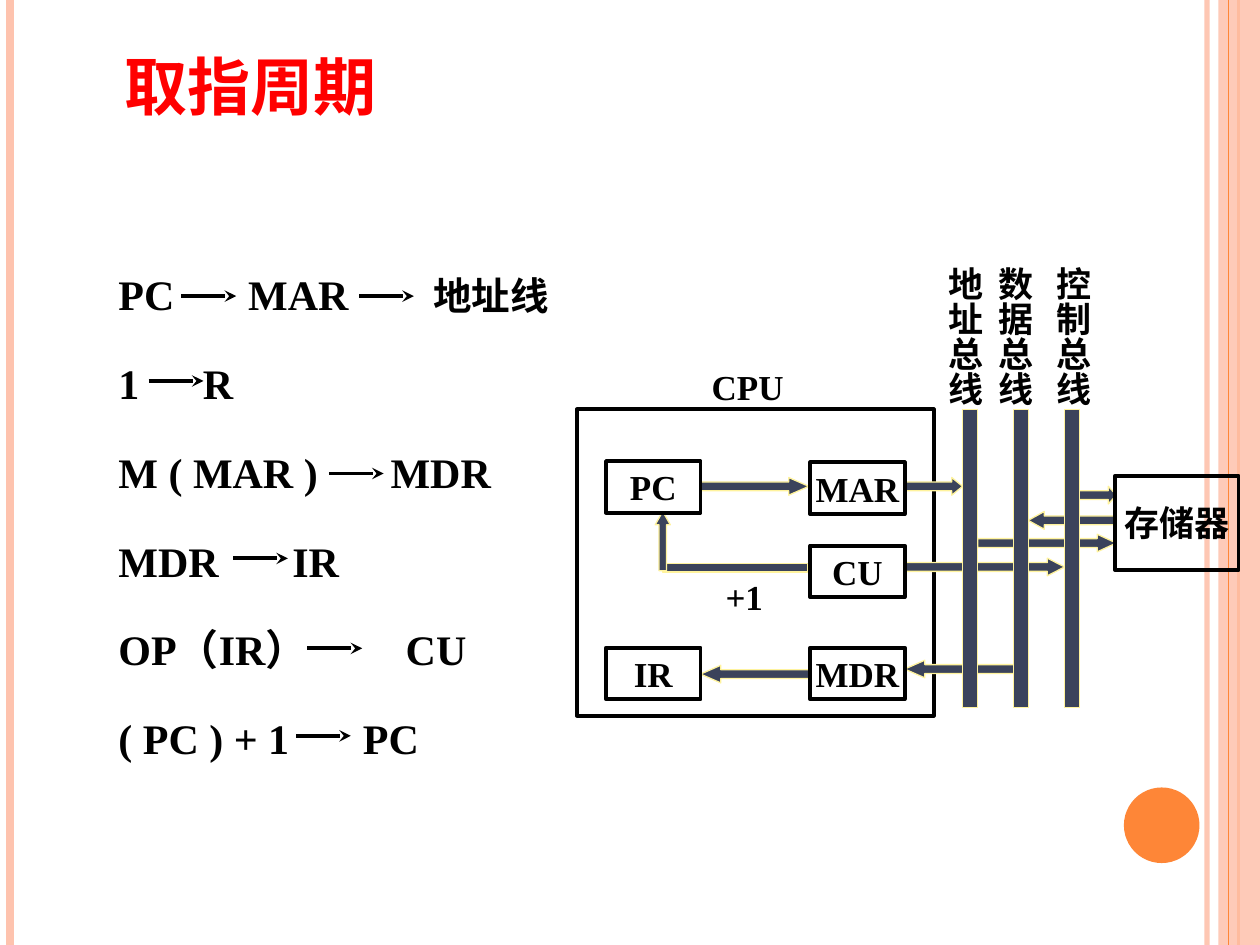
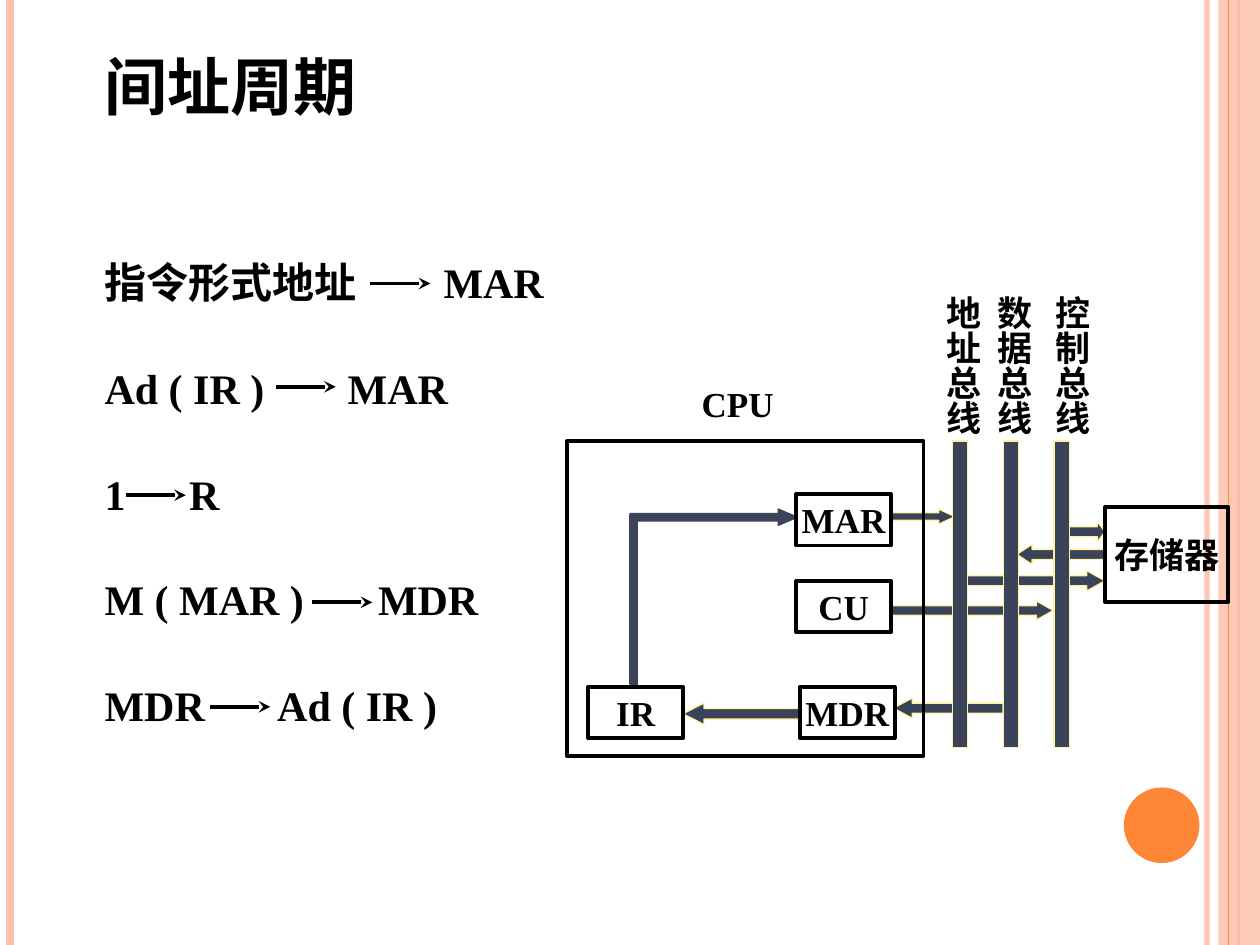
from lxml import etree
from pptx import Presentation
from pptx.dml.color import RGBColor
from pptx.enum.shapes import MSO_CONNECTOR, MSO_SHAPE
from pptx.enum.text import MSO_ANCHOR, MSO_AUTO_SIZE, PP_ALIGN
from pptx.oxml.ns import qn
from pptx.util import Emu, Pt

RECT, OVAL = MSO_SHAPE.RECTANGLE, MSO_SHAPE.OVAL
RIGHT, UP = MSO_SHAPE.RIGHT_ARROW, MSO_SHAPE.UP_ARROW
LINE = MSO_CONNECTOR.STRAIGHT
MIDDLE, LEFT, CENTER = MSO_ANCHOR.MIDDLE, PP_ALIGN.LEFT, PP_ALIGN.CENTER
FIT, FIXED = MSO_AUTO_SIZE.SHAPE_TO_FIT_TEXT, MSO_AUTO_SIZE.NONE

FONT = "Times New Roman"
INK = {"black": "000000", "red": "FF0000", "peach": "FEC3AE",
       "orange": "FE8637", "navy": "3B435B", "cream": "FFF39D"}
COLS, ROWS = 1000, 750  # grid that covers the slide
CELL = 9144
BUSES = ["地址总线", "数据总线", "控制总线"]
SMALL = {"地址线": 22}


def grid(*cells):
    return [Emu(round(cell * CELL)) for cell in cells]


def tint(color, name):
    color.rgb = RGBColor.from_string(INK[name])


def fade(node, share):
    """Make the solid colour below node partly transparent."""
    color = node.find(f"{qn('a:solidFill')}/{qn('a:srgbClr')}")
    etree.SubElement(color, qn("a:alpha"), val=str(share * 1000))


def style(par, size, color="black"):
    for run in par.runs:
        font = run.font
        font.name, font.size, font.bold = FONT, Pt(size), True
        tint(font.color, color)


def flush(frame):
    """Drop the insets and centre the text upright."""
    frame.margin_left = frame.margin_right = 0
    frame.margin_top = frame.margin_bottom = 0
    frame.vertical_anchor, frame.word_wrap = MIDDLE, True
    frame.auto_size = FIXED


def stroke(slide, ends, color, width, alpha=None, head=False):
    x, y, x2, y2 = grid(*ends)
    line = slide.shapes.add_connector(LINE, x, y, x2, y2)
    tint(line.line.color, color)
    line.line.width = Pt(width)
    props = line._element.spPr
    edge = props.find(qn("a:ln"))
    if alpha:
        fade(edge, alpha)
    if head:
        etree.SubElement(edge, qn("a:tailEnd"), type="stealth")
    etree.SubElement(props, qn("a:effectLst"))


def block(slide, kind, box, fill=None, edge=None, width=0.75):
    shape = slide.shapes.add_shape(kind, *grid(*box))
    shape.shadow.inherit = False
    if fill:
        shape.fill.solid()
        tint(shape.fill.fore_color, fill)
    else:
        shape.fill.background()
    if edge:
        tint(shape.line.color, edge)
        shape.line.width = Pt(width)
    else:
        shape.line.fill.background()
    return shape


def frame(slide):
    """Side lines, right band and dot that all slides share."""
    def rule(x, color, width, alpha=None):
        stroke(slide, (x, 0, x, ROWS), color, width, alpha)

    rule(958, "peach", 3, 93)
    rule(8, "peach", 4.5)
    rule(983, "orange", 1.5)
    band = block(slide, RECT, (967, 0, COLS - 967, ROWS), "peach")
    fade(band._element.spPr, 87)
    rule(975, "orange", 0.75)
    block(slide, OVAL, (892, 625, 60, 60), "orange")


def head(slide, text, left, color):
    title = slide.shapes.title
    title.left, title.top, title.width, title.height = grid(left, 44, 354, 47)
    title.text_frame.text = text
    flush(title.text_frame)
    par = title.text_frame.paragraphs[0]
    par.alignment = LEFT
    style(par, 36, color)


def steps(slide, left, top, pitch, reach, rows):
    """Each row: words, tab stops, arrow starts, arrow drop."""
    for i, (words, stops, starts, drop) in enumerate(rows):
        y = top + i * pitch
        area = slide.shapes.add_textbox(*grid(left, y, 472, 47))
        flush(area.text_frame)
        par = area.text_frame.paragraphs[0]
        for j, word in enumerate(words):
            par.add_run().text = "\t" + word if j else word
        style(par, 24)
        for run, word in zip(par.runs, words):
            run.font.size = Pt(SMALL.get(word, 24))
        tabs = etree.SubElement(par._p.get_or_add_pPr(), qn("a:tabLst"))
        for stop in stops:
            etree.SubElement(tabs, qn("a:tab"), pos=str(stop * CELL), algn="l")
        for x in starts:
            ends = (left + x, y + drop, left + x + reach, y + drop)
            stroke(slide, ends, "black", 2.25, head=True)


def label(slide, text, box, upright=False, wrap=False):
    area = slide.shapes.add_textbox(*grid(*box)).text_frame
    area.text = text
    area.word_wrap, area.auto_size = wrap, FIT
    if upright:
        area._txBody.bodyPr.set("vert", "eaVert")
    style(area.paragraphs[0], 20)


def unit(slide, text, box):
    """Outlined box with a centred name."""
    area = block(slide, RECT, box, edge="black", width=2.25).text_frame
    area.text = text
    area.word_wrap, area.vertical_anchor = False, MIDDLE
    area.paragraphs[0].alignment = CENTER
    style(area.paragraphs[0], 20)


def diagram(slide, left, top, tall, plan):
    """CPU, buses and memory, placed from the CPU's top left corner."""
    def at(x, y, w, h):
        return left + x, top + y, w, h

    def shell():
        block(slide, RECT, at(0, 0, 283, tall), edge="black", width=2.25)

    if not plan["over"]:
        shell()
    for box, edge in plan["bars"]:
        block(slide, RECT, at(*box), "navy", edge)
    for kind, turn, box, neck, tip, edge in plan["arrows"]:
        arrow = block(slide, kind, at(*box), "navy", edge)
        arrow.adjustments[0], arrow.adjustments[1] = neck, tip
        arrow.rotation = turn
    if plan["over"]:
        shell()
    for name, (x, y) in plan["units"].items():
        unit(slide, name, at(x, y, 75, 41))
    for i in range(len(BUSES)):
        block(slide, RECT, at(306 + 40.3 * i, 0, 12, tall - 6.5),
              "navy", "cream")
    unit(slide, "存储器", at(427, 52.5, 98, 75))
    label(slide, "CPU", at(97, plan["name"], 77, 43))
    x, y, h = plan["signs"]
    for text, step in zip(BUSES, (0, 40, 86)):
        label(slide, text, at(x + step, y, 53, h), upright=True)
    for text, box in plan["notes"]:
        label(slide, text, at(*box), wrap=True)


def flow(box, tip, turn=0, kind=RIGHT, neck=0.5, edge="cream"):
    return kind, turn, box, neck, tip, edge


FETCH = {
    "over": False, "name": -40, "signs": (276, -123, 120),
    "notes": [("+1", (108, 127, 121, 43))],
    "units": {"PC": (23, 41), "MAR": (185, 42), "CU": (185, 108),
              "IR": (23, 189), "MDR": (185, 189)},
    "bars": [((68, 122, 115, 7), "cream")],
    "arrows": [flow((260, 54, 46, 14), 0.61),
               flow((62, 81, 12, 47), 0.88, kind=UP),
               flow((98, 54, 86, 14), 1.14),
               flow((260, 199, 87, 14), 1.14, 180),
               flow((260, 118, 127, 14), 0.98),
               flow((318, 99, 110, 14), 1.08),
               flow((358, 81, 69, 14), 0.91, 180),
               flow((393, 61, 35, 14), 0.45),
               flow((98, 203, 86, 14), 1.14, 180)],
}
FETCH_STEPS = [
    (["PC", "MAR", "地址线"], [103, 250], [50, 191], 25),
    (["1", "R"], [67], [24], 22),
    (["M ( MAR )", "MDR"], [216], [167], 25),
    (["MDR", "IR"], [138], [91], 22),
    (["OP（IR）", "CU"], [228], [150], 23),
    (["( PC ) + 1", "PC"], [194], [141], 22),
]
INDIRECT = {
    "over": True, "name": -51, "signs": (283, -125, 122), "notes": [],
    "units": {"MAR": (182, 42), "CU": (182, 111),
              "IR": (17, 195), "MDR": (185, 195)},
    "bars": [((50, 59, 6, 134), "navy"), ((391, 67, 5, 10), "navy")],
    "arrows": [flow((259, 204, 87, 16), 0.94, 180),
               flow((92, 208, 92, 17), 0.98, 180),
               flow((258, 127, 128, 15), 0.89),
               flow((258, 54, 50, 12), 1.08),
               flow((357, 82, 69, 16), 0.76, 180),
               flow((317, 103, 110, 16), 0.9),
               flow((392, 64, 35, 16), 0.38),
               flow((50, 54, 133, 13), 1.18, neck=0.46, edge="navy")],
}
INDIRECT_STEPS = [
    (["指令形式地址", "MAR"], [269], [211], 25),
    (["Ad ( IR )", "MAR"], [193], [136], 23),
    (["1", "R"], [67], [17], 25),
    (["M ( MAR )", "MDR"], [217], [165], 26),
    (["MDR", "Ad ( IR )"], [137], [84], 25),
]


def start(deck, title, left, color):
    slide = deck.slides.add_slide(deck.slide_layouts[5])
    frame(slide)
    head(slide, title, left, color)
    return slide


def main():
    deck = Presentation()
    deck.slide_width, deck.slide_height = grid(COLS, ROWS)
    slide = start(deck, "取指周期", 99, "red")
    steps(slide, 94, 210, 70.4, 43.5, FETCH_STEPS)
    diagram(slide, 458, 325, 243, FETCH)
    slide = start(deck, "间址周期", 83, "black")
    steps(slide, 83, 200, 84, 47.5, INDIRECT_STEPS)
    diagram(slide, 450, 350, 250, INDIRECT)
    deck.save("out.pptx")


if __name__ == "__main__":
    main()
